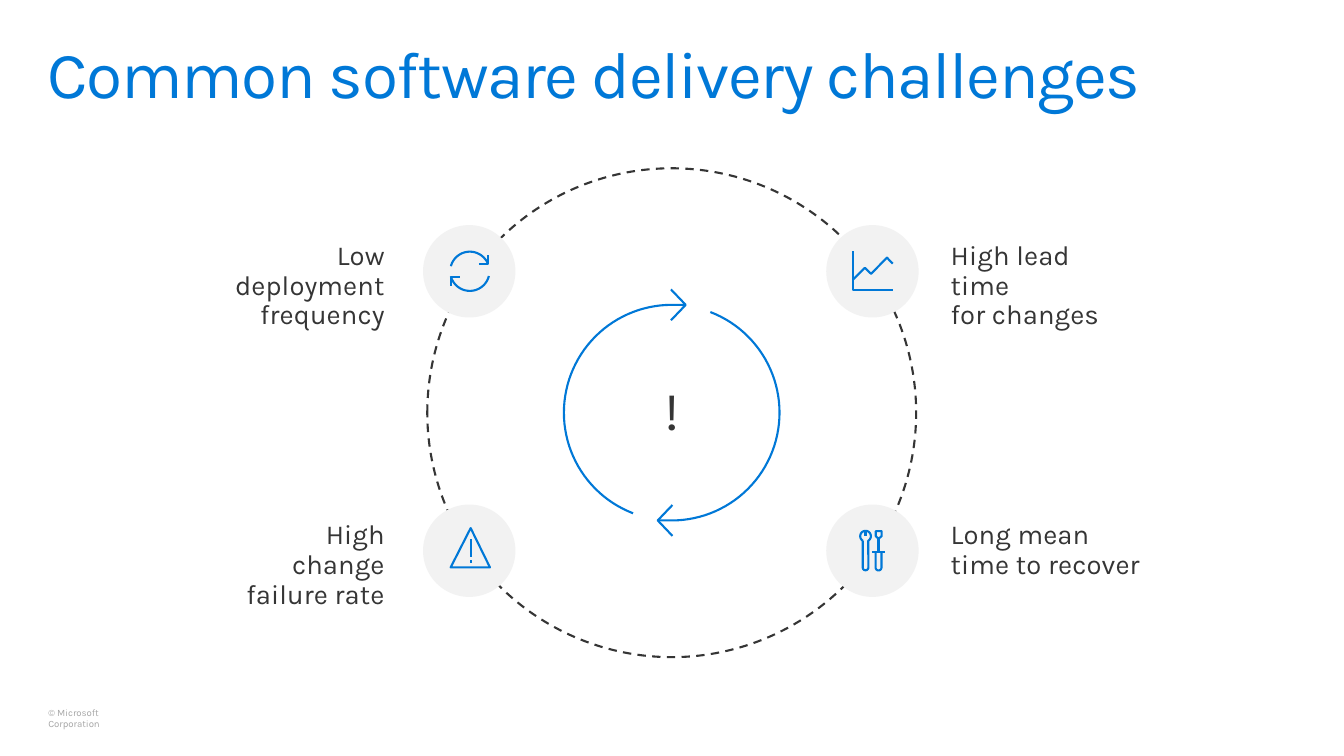
from math import cos, radians, sin

from pptx import Presentation
from pptx.dml.color import RGBColor
from pptx.enum.dml import MSO_LINE
from pptx.enum.shapes import MSO_SHAPE
from pptx.enum.text import MSO_ANCHOR, MSO_AUTO_SIZE, PP_ALIGN
from pptx.util import Pt

FONT = "Karla"
BLUE, DARK, GRAY, PALE = "0078D7", "353535", "A6A6A6", "F2F2F2"

TITLE = "Common software delivery challenges"
COPYRIGHT = "© Microsoft Corporation"

CENTER_X, CENTER_Y = 479.8, 294.8
RING_RADIUS = 174.6
LOOP_RADIUS = 77
BADGE_RADIUS = 33
BADGE_X = {"left": 335.2, "right": 623.2}
BADGE_Y = {"top": 193.8, "bottom": 393.4}
LABEL_EDGE = {"left": 282, "right": 672}
LABEL_ABOVE_BADGE = 24.6


def arc(x, y, radius, start, end):
    """Points along a circle, angles in degrees, clockwise from the right."""
    steps = max(8, round(abs(end - start) / 3))
    angles = [radians(start + (end - start) * i / steps) for i in range(steps + 1)]
    return [(x + radius * cos(a), y + radius * sin(a)) for a in angles]


# Each icon is a list of strokes around the badge center.
REFRESH_ICON = [
    arc(0.4, 0, 14, 195, 338),
    arc(0.4, 0, 14, 14, 165),
    [(6.8, -5.4), (13.3, -5.4), (13.3, -11.9)],
    [(-6.8, 4), (-13.3, 4), (-13.3, 10.4)],
]
CHART_ICON = [
    [(14.4, 13.5), (-14, 13.5), (-14, -14.5)],
    [(14.5, -5.4), (10.4, -9.7), (-1, 1.8), (-5.4, -2.5), (-14, 6.1)],
]
WARNING_ICON = [
    [(-13.3, 11.9), (1, -16.2), (14.8, 11.9), (-13.3, 11.9)],
    [(1, -8.3), (1, 4.7)],
    [(1, 6.8), (1, 9)],
]
TOOLS_ICON = [
    arc(-4.9, -10.4, 3.8, 121, 419) + arc(-4.9, 12, 2, 0, 180) + [(-6.9, -7.1)],
    [(-4.9, -14), (-4.9, -10.4)],
    [(2.3, 1)] + arc(4.4, 12, 2.1, 180, 0) + [(6.5, 1)],
    [(-0.4, 1), (9, 1)],
    [(4.4, 1), (4.4, -8.5)],
    [(6.6, -14), (2.4, -14), (2.4, -10.4), (4.4, -8.5), (6.6, -10.4), (6.6, -14)],
]

# text, side, row, label width, icon
CHALLENGES = [
    ("Long mean time to recover", "right", "bottom", 157, TOOLS_ICON),
    ("High lead time\vfor changes", "right", "top", 140, CHART_ICON),
    ("High change\vfailure rate", "left", "bottom", 122, WARNING_ICON),
    ("Low deployment\vfrequency", "left", "top", 156, REFRESH_ICON),
]


def color(hex_string):
    return RGBColor.from_string(hex_string)


def write(shape, text, size, hex_color, spacing=0, align=PP_ALIGN.LEFT,
          anchor=MSO_ANCHOR.TOP, insets=None):
    """Fill a shape with one paragraph; spacing is in hundredths of a point."""
    frame = shape.text_frame
    frame.text = text
    frame.word_wrap = True
    frame.auto_size = MSO_AUTO_SIZE.NONE
    frame.vertical_anchor = anchor
    if insets:
        (frame.margin_left, frame.margin_top,
         frame.margin_right, frame.margin_bottom) = [Pt(inset) for inset in insets]
    paragraph = frame.paragraphs[0]
    paragraph.alignment = align
    paragraph.line_spacing = 0.9
    for run in paragraph.runs:
        run.font.name = FONT
        run.font.size = Pt(size)
        run.font.color.rgb = color(hex_color)
        run._r.get_or_add_rPr().set("spc", str(spacing))


def add_text(slide, left, top, width, height, *args, **options):
    box = slide.shapes.add_textbox(Pt(left), Pt(top), Pt(width), Pt(height))
    write(box, *args, **options)


def add_circle(slide, x, y, radius):
    circle = slide.shapes.add_shape(MSO_SHAPE.OVAL, Pt(x - radius), Pt(y - radius),
                                    Pt(2 * radius), Pt(2 * radius))
    circle.shadow.inherit = False
    return circle


def add_strokes(slide, x, y, strokes):
    """Draw open blue strokes, given around (x, y), as one outline."""
    placed = [[(Pt(x + dx), Pt(y + dy)) for dx, dy in stroke] for stroke in strokes]
    builder = slide.shapes.build_freeform(*placed[0][0], scale=1.0)
    for number, stroke in enumerate(placed):
        if number:
            builder.move_to(*stroke[0])
        builder.add_line_segments(stroke[1:], close=False)
    outline = builder.convert_to_shape()
    outline.shadow.inherit = False
    outline.fill.background()
    outline.line.color.rgb = color(BLUE)
    outline.line.width = Pt(1.5)


def main():
    presentation = Presentation()
    presentation.slide_width, presentation.slide_height = Pt(960), Pt(540)
    slide = presentation.slides.add_slide(presentation.slide_layouts[5])

    title = slide.shapes.title
    title.left, title.top, title.width, title.height = Pt(34), Pt(17), Pt(893), Pt(60)
    write(title, TITLE, 47, BLUE, spacing=-100, insets=(0, 13, 0, 0))
    add_text(slide, 34.5, 506, 70, 16, COPYRIGHT, 6.9, GRAY, insets=(0, 0, 0, 0))

    ring = add_circle(slide, CENTER_X, CENTER_Y, RING_RADIUS)
    ring.fill.background()
    ring.line.color.rgb = color(DARK)
    ring.line.width = Pt(1.5)
    ring.line.dash_style = MSO_LINE.DASH

    add_text(slide, CENTER_X - 65, CENTER_Y - 44, 130, 88, "!", 39.2, DARK, spacing=10,
             align=PP_ALIGN.CENTER, anchor=MSO_ANCHOR.MIDDLE, insets=(0, 0, 0, 0))

    tip = (10, -LOOP_RADIUS)
    loop = [arc(0, 0, LOOP_RADIUS, 111, 270) + [tip],
            [(-0.5, tip[1] - 11), tip, (-0.5, tip[1] + 11)]]
    for sign in (1, -1):
        add_strokes(slide, CENTER_X, CENTER_Y,
                    [[(sign * x, sign * y) for x, y in stroke] for stroke in loop])

    for text, side, row, width, icon in CHALLENGES:
        x, y = BADGE_X[side], BADGE_Y[row]
        on_left = side == "left"
        add_text(slide, LABEL_EDGE[side] - (width if on_left else 0),
                 y - LABEL_ABOVE_BADGE, width, 50, text, 19.6, DARK, spacing=10,
                 align=PP_ALIGN.RIGHT if on_left else PP_ALIGN.LEFT)
        badge = add_circle(slide, x, y, BADGE_RADIUS)
        badge.fill.solid()
        badge.fill.fore_color.rgb = color(PALE)
        badge.line.fill.background()
        add_strokes(slide, x, y, icon)

    presentation.save("out.pptx")


if __name__ == "__main__":
    main()
